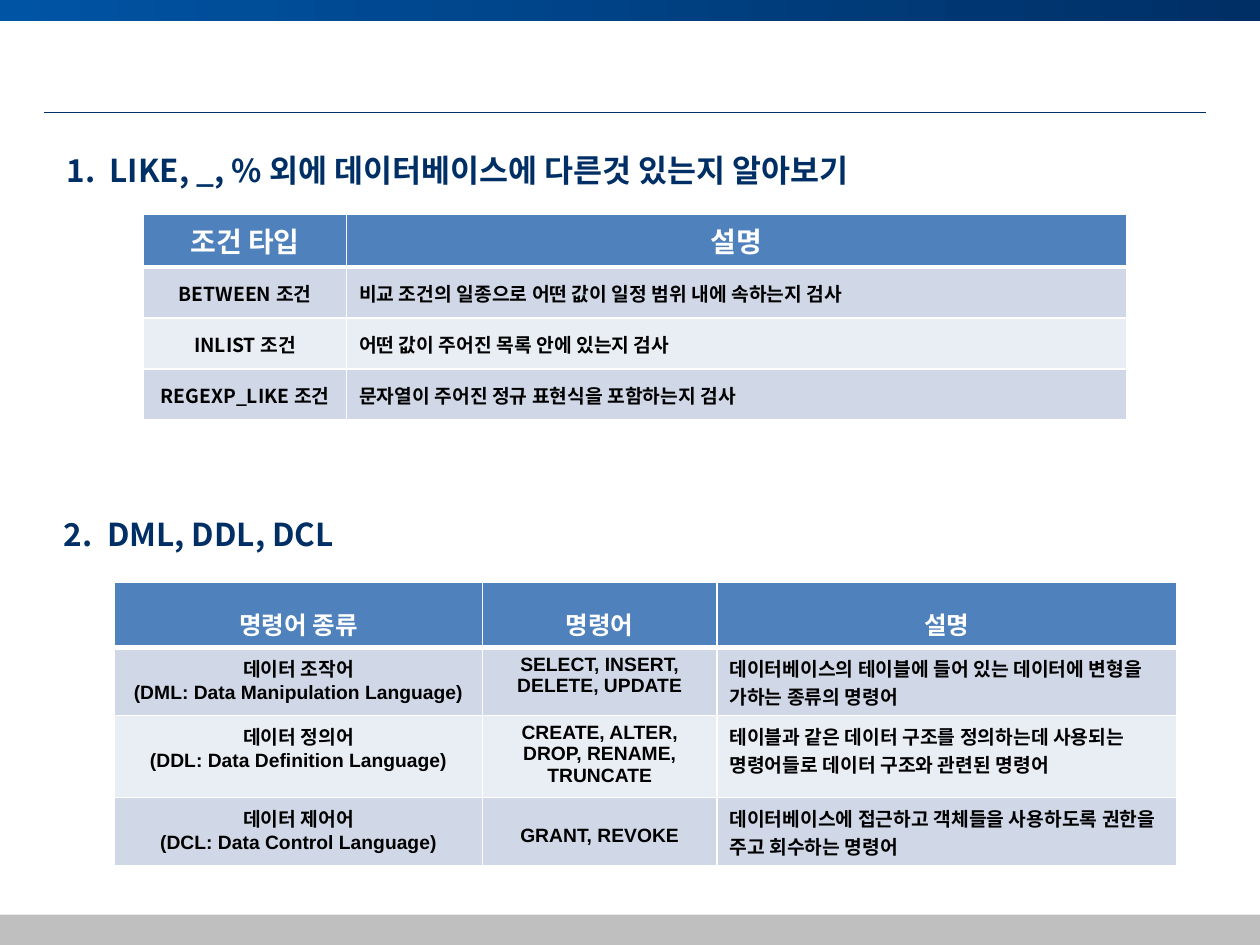
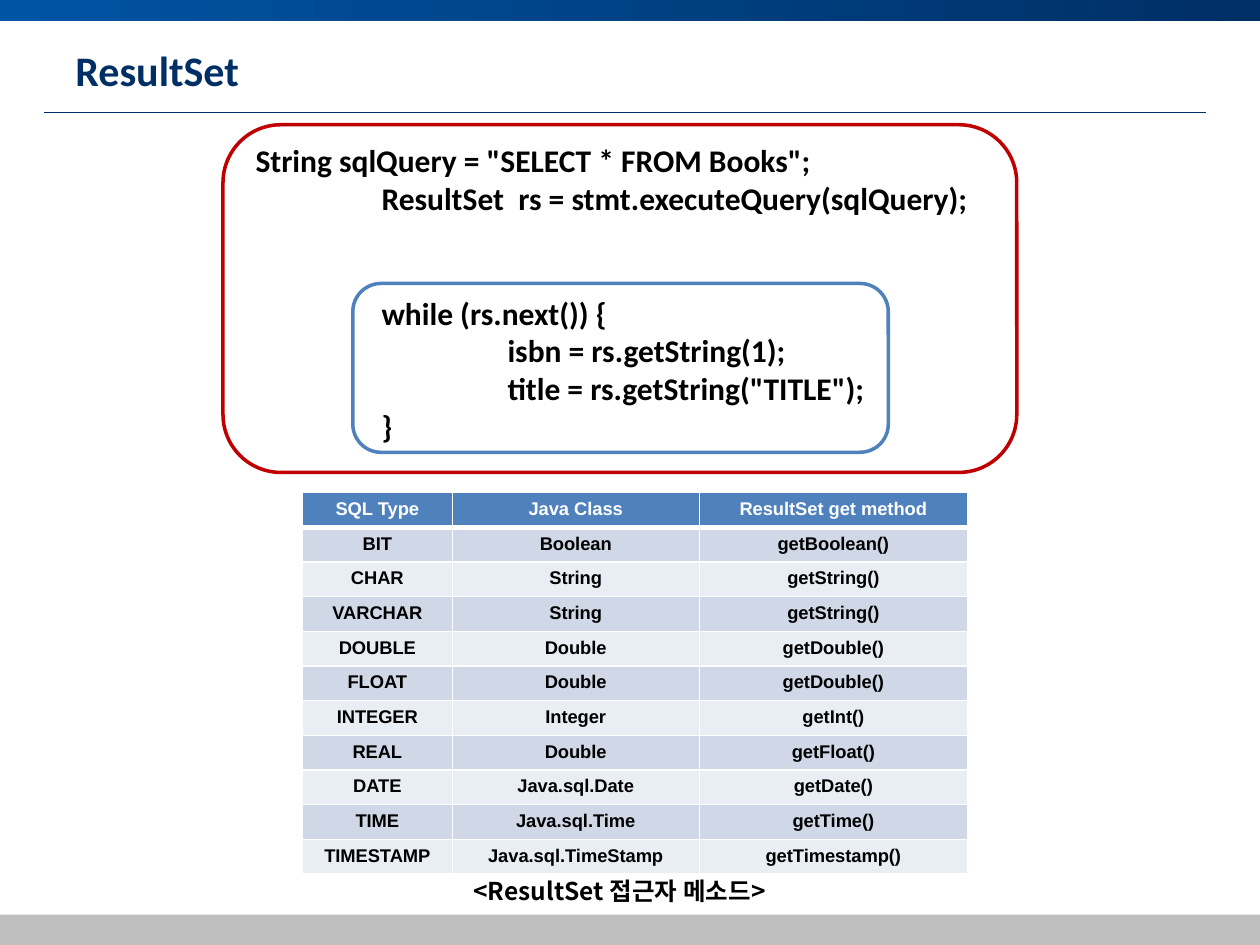
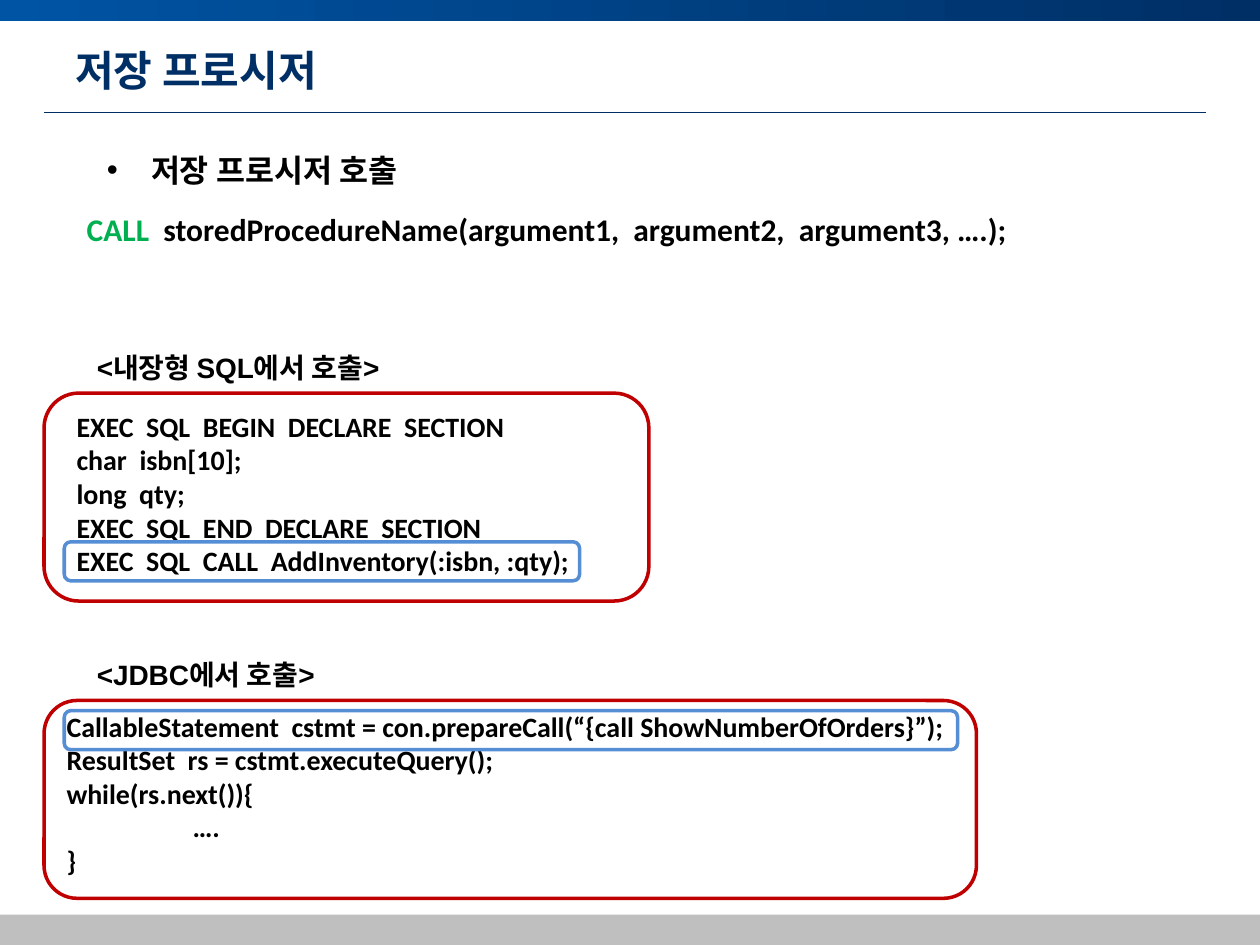
from dataclasses import dataclass, field

import pptx
import pptx.dml.color
import pptx.enum.shapes
import pptx.enum.text
import pptx.oxml
import pptx.oxml.ns
import pptx.util
from lxml import etree

RGB = pptx.dml.color.RGBColor
SHAPE = pptx.enum.shapes.MSO_SHAPE
ALIGN = pptx.enum.text.PP_ALIGN
ANCHOR = pptx.enum.text.MSO_ANCHOR
qn = pptx.oxml.ns.qn

# Colours and fonts
BLACK = RGB(0x00, 0x00, 0x00)
WHITE = RGB(0xFF, 0xFF, 0xFF)
NAVY = RGB(0x00, 0x2F, 0x65)
BLUE = RGB(0x00, 0x54, 0xA4)
GREY = RGB(0xBF, 0xBF, 0xBF)
RED = RGB(0xC0, 0x00, 0x00)
GREEN = RGB(0x00, 0xB0, 0x50)
ACCENT = RGB(0x4F, 0x81, 0xBD)
SKY = RGB(0x55, 0x8E, 0xD5)
BANDS = (RGB(0xD0, 0xD8, 0xE8), RGB(0xE9, 0xED, 0xF4))

ARIAL, CALIBRI, NOTO = "Arial", "Calibri", "Noto Sans CJK KR"

# The slide is a grid of 100 columns by 75 rows
COLUMNS, ROWS = 100, 75
CELL = pptx.util.Inches(0.1)


def grid(n: float) -> pptx.util.Emu:
    return pptx.util.Emu(round(n * CELL))


@dataclass
class Box:
    left: float
    top: float
    width: float
    height: float

    def place(self) -> tuple:
        return tuple(grid(n) for n in (self.left, self.top, self.width, self.height))


@dataclass
class Style:
    size: float
    font: str
    color: RGB = BLACK


@dataclass
class Line:
    """One paragraph: its runs, indent in columns and space above in points."""
    runs: list[tuple[str, Style]]
    indent: float = 0
    before: float = 0
    bullet: bool = False


@dataclass
class Table:
    left: float
    top: float
    widths: list[float]
    heights: list[float]
    rows: list[tuple[str, ...]]
    header: Style
    body: Style
    header_spacing: float = 1
    anchor: ANCHOR = ANCHOR.TOP
    left_columns: tuple[int, ...] = ()
    spacing: dict[tuple[int, int], float] = field(default_factory=dict)


TITLE = Style(24, CALIBRI, NAVY)
HEADING = Style(18, NOTO, NAVY)
CODE_LARGE = Style(18, CALIBRI)
CODE = Style(16, CALIBRI)
CAPTION = Style(16, ARIAL)


# Text
def add_run(p, text: str, style: Style) -> None:
    r = p.add_run()
    r.text = text
    r.font.size = pptx.util.Pt(style.size)
    r.font.bold = True
    r.font.color.rgb = style.color
    r.font.name = style.font
    ea = etree.SubElement(r.font._element, qn("a:ea"))
    ea.set("typeface", NOTO)


def add_bullet(p, hang: float) -> None:
    pPr = p._p.get_or_add_pPr()
    pPr.set("indent", str(-grid(hang)))
    etree.SubElement(pPr, qn("a:buFont")).set("typeface", ARIAL)
    etree.SubElement(pPr, qn("a:buChar")).set("char", "•")


def add_text(slide, box: Box, lines: list[Line]) -> None:
    tf = slide.shapes.add_textbox(*box.place()).text_frame
    tf.word_wrap = True
    for i, line in enumerate(lines):
        p = tf.paragraphs[0] if i == 0 else tf.add_paragraph()
        if line.before:
            p.space_before = pptx.util.Pt(line.before)
        if line.indent:
            p._p.get_or_add_pPr().set("marL", str(grid(line.indent)))
        if line.bullet:
            add_bullet(p, line.indent)
        for text, style in line.runs:
            add_run(p, text, style)


def add_label(slide, box: Box, text: str, style: Style) -> None:
    add_text(slide, box, [Line([(text, style)])])


def code(text: str, style: Style, tabs: int = 0, before: float = 0) -> Line:
    return Line([(text, style)], indent=10 * tabs, before=before)


# Shapes
def add_bar(slide, box: Box):
    sp = slide.shapes.add_shape(SHAPE.RECTANGLE, *box.place())
    sp.shadow.inherit = False
    sp.line.fill.background()
    return sp


def add_frame(slide, box: Box, color: RGB) -> None:
    sp = slide.shapes.add_shape(SHAPE.ROUNDED_RECTANGLE, *box.place())
    sp.shadow.inherit = False
    sp.fill.background()
    sp.line.color.rgb = color
    sp.line.width = pptx.util.Pt(2)


# Tables
def set_border(cell, side: str, width: float) -> None:
    ln = etree.SubElement(cell._tc.get_or_add_tcPr(), qn(f"a:ln{side}"))
    ln.set("w", str(pptx.util.Pt(width)))
    fill = etree.SubElement(ln, qn("a:solidFill"))
    etree.SubElement(fill, qn("a:srgbClr")).set("val", str(WHITE))


def fill_cell(cell, spec: Table, row: int, col: int) -> None:
    is_header = row == 0
    style = spec.header if is_header else spec.body
    spacing = spec.header_spacing if is_header else spec.spacing.get((row, col), 1)
    centred = is_header or col not in spec.left_columns
    for side in "LRTB":
        under_header = (row, side) in ((0, "B"), (1, "T"))
        set_border(cell, side, 3 if under_header else 1)
    cell.fill.solid()
    cell.fill.fore_color.rgb = ACCENT if is_header else BANDS[(row - 1) % 2]
    cell.vertical_anchor = ANCHOR.TOP if is_header else spec.anchor
    tf = cell.text_frame
    for i, text in enumerate(spec.rows[row][col].split("\n")):
        p = tf.paragraphs[0] if i == 0 else tf.add_paragraph()
        p.alignment = ALIGN.CENTER if centred else ALIGN.LEFT
        if spacing != 1:
            p.line_spacing = float(spacing)
        add_run(p, text, style)


def add_table(slide, spec: Table) -> None:
    box = Box(spec.left, spec.top, sum(spec.widths), sum(spec.heights))
    table = slide.shapes.add_table(
        len(spec.rows), len(spec.widths), *box.place()).table
    for column, width in zip(table.columns, spec.widths):
        column.width = grid(width)
    for row, height in zip(table.rows, spec.heights):
        row.height = grid(height)
    for r in range(len(spec.rows)):
        for c in range(len(spec.widths)):
            fill_cell(table.cell(r, c), spec, r, c)


# Shared slide frame: top band, rule, footer and title
def new_slide(prs, title: str = ""):
    slide = prs.slides.add_slide(prs.slide_layouts[6])
    band = add_bar(slide, Box(0, 0, COLUMNS, 1.7))
    band.fill.gradient()
    band.fill.gradient_angle = 0
    for stop, color in zip(band.fill.gradient_stops, (BLUE, NAVY)):
        stop.color.rgb = color

    rule = slide.shapes.add_connector(
        pptx.enum.shapes.MSO_CONNECTOR.STRAIGHT,
        grid(3.5), grid(8.9), grid(95.7), grid(8.9))
    rule.line.color.rgb = NAVY
    rule.line.width = pptx.util.Pt(0.5)
    etree.SubElement(rule._element.spPr, qn("a:effectLst"))

    footer = add_bar(slide, Box(0, 72.6, COLUMNS, ROWS - 72.6))
    footer.fill.solid()
    footer.fill.fore_color.rgb = GREY
    if title:
        add_label(slide, Box(5, 3, 90, 5.8), title, TITLE)
    return slide


def build_conditions_and_commands(prs) -> None:
    slide = new_slide(prs)
    add_table(slide, Table(
        11.4, 17, [16.1, 61.9], [4.05] * 4,
        [("조건 타입", "설명"),
         ("BETWEEN 조건", "비교 조건의 일종으로 어떤 값이 일정 범위 내에 속하는지 검사"),
         ("INLIST 조건", "어떤 값이 주어진 목록 안에 있는지 검사"),
         ("REGEXP_LIKE 조건", "문자열이 주어진 정규 표현식을 포함하는지 검사")],
        header=Style(16, ARIAL, WHITE), body=Style(11, NOTO),
        anchor=ANCHOR.MIDDLE, left_columns=(1,)))
    add_label(slide, Box(4.3, 11.5, 90, 5.8),
              "1.  LIKE, _, % 외에 데이터베이스에 다른것 있는지 알아보기", HEADING)
    add_label(slide, Box(4.1, 40.4, 90, 5.8), "2.  DML, DDL, DCL", HEADING)
    add_table(slide, Table(
        9.1, 46.2, [29.2, 18.6, 36.5], [5.2, 5.4, 6.1, 5.4],
        [("명령어 종류", "명령어", "설명"),
         ("데이터 조작어\n(DML: Data Manipulation Language)",
          "SELECT, INSERT, DELETE, UPDATE",
          "데이터베이스의 테이블에 들어 있는 데이터에 변형을 가하는 종류의 명령어"),
         ("데이터 정의어\n(DDL: Data Definition Language)",
          "CREATE, ALTER, DROP, RENAME, TRUNCATE",
          "테이블과 같은 데이터 구조를 정의하는데 사용되는 명령어들로 데이터 구조와 관련된 명령어"),
         ("데이터 제어어\n(DCL: Data Control Language)",
          "GRANT, REVOKE",
          "데이터베이스에 접근하고 객체들을 사용하도록 권한을 주고 회수하는 명령어")],
        header=Style(14, ARIAL, WHITE), body=Style(11, ARIAL),
        header_spacing=1.5, left_columns=(2,), spacing={(3, 1): 2}))


def build_result_set(prs) -> None:
    slide = new_slide(prs, "ResultSet")
    rows = [("SQL Type", "Java Class", "ResultSet get method"),
            ("BIT", "Boolean", "getBoolean()"),
            ("CHAR", "String", "getString()"),
            ("VARCHAR", "String", "getString()"),
            ("DOUBLE", "Double", "getDouble()"),
            ("FLOAT", "Double", "getDouble()"),
            ("INTEGER", "Integer", "getInt()"),
            ("REAL", "Double", "getFloat()"),
            ("DATE", "Java.sql.Date", "getDate()"),
            ("TIME", "Java.sql.Time", "getTime()"),
            ("TIMESTAMP", "Java.sql.TimeStamp", "getTimestamp()")]
    add_table(slide, Table(
        24, 39.1, [11.9, 19.6, 21.3], [2.6] * len(rows), rows,
        header=Style(10.5, ARIAL, WHITE), body=Style(10.5, ARIAL)))
    add_label(slide, Box(36.6, 69, 30.7, 3.4),
              "<ResultSet 접근자 메소드>", Style(14, NOTO))

    # Query code, with the loop set apart from the query
    add_text(slide, Box(19.3, 10.7, 60.6, 25.2), [
        code('String sqlQuery = "SELECT * FROM Books";', CODE_LARGE),
        code("ResultSet  rs = stmt.executeQuery(sqlQuery);", CODE_LARGE, 1),
        code("while (rs.next()) {", CODE_LARGE, 1, before=44),
        code("isbn = rs.getString(1);", CODE_LARGE, 2),
        code('title = rs.getString("TITLE");', CODE_LARGE, 2),
        code("}", CODE_LARGE, 1)])
    add_frame(slide, Box(17.7, 9.9, 63, 27.6), RED)
    add_frame(slide, Box(28, 22.5, 42.5, 13.4), ACCENT)


def build_stored_procedure(prs) -> None:
    slide = new_slide(prs, "저장 프로시저")
    add_text(slide, Box(7.5, 11.5, 36.2, 4), [
        Line([("저장 프로시저 호출", Style(18, ARIAL))], indent=3.5, bullet=True)])
    add_text(slide, Box(5.9, 16.2, 82.7, 4), [
        Line([("CALL  ", Style(18, CALIBRI, GREEN)),
              ("storedProcedureName(argument1,  argument2,  argument3, ….);",
               CODE_LARGE)])])

    # Embedded SQL call
    add_label(slide, Box(6.7, 27.3, 36.2, 3.7), "<내장형 SQL에서 호출>", CAPTION)
    add_text(slide, Box(5.1, 32, 91.3, 14.8), [
        code(text, CODE) for text in (
            "EXEC  SQL  BEGIN  DECLARE  SECTION",
            "char  isbn[10];",
            "long  qty;",
            "EXEC  SQL  END  DECLARE  SECTION",
            "EXEC  SQL  CALL  AddInventory(:isbn, :qty);")])

    # JDBC call
    add_label(slide, Box(6.7, 51.7, 26, 3.7), "<JDBC에서 호출>", CAPTION)
    add_text(slide, Box(4.3, 55.8, 91.3, 14.8), [
        code("CallableStatement  cstmt = "
             "con.prepareCall(“{call ShowNumberOfOrders}”);", CODE),
        code("ResultSet  rs = cstmt.executeQuery();", CODE),
        code("while(rs.next()){", CODE),
        code("….", CODE, 1),
        code("}", CODE)])

    # Code frames and the highlighted calls
    add_frame(slide, Box(3.5, 31.2, 48, 16.5), RED)
    add_frame(slide, Box(3.5, 55.6, 74, 15.7), RED)
    add_frame(slide, Box(5.1, 43, 40.9, 3.1), SKY)
    add_frame(slide, Box(5.1, 56.4, 70.9, 3.1), SKY)


def main() -> None:
    prs = pptx.Presentation()
    prs.slide_width = grid(COLUMNS)
    prs.slide_height = grid(ROWS)
    build_conditions_and_commands(prs)
    build_result_set(prs)
    build_stored_procedure(prs)
    prs.save("out.pptx")


if __name__ == "__main__":
    main()
